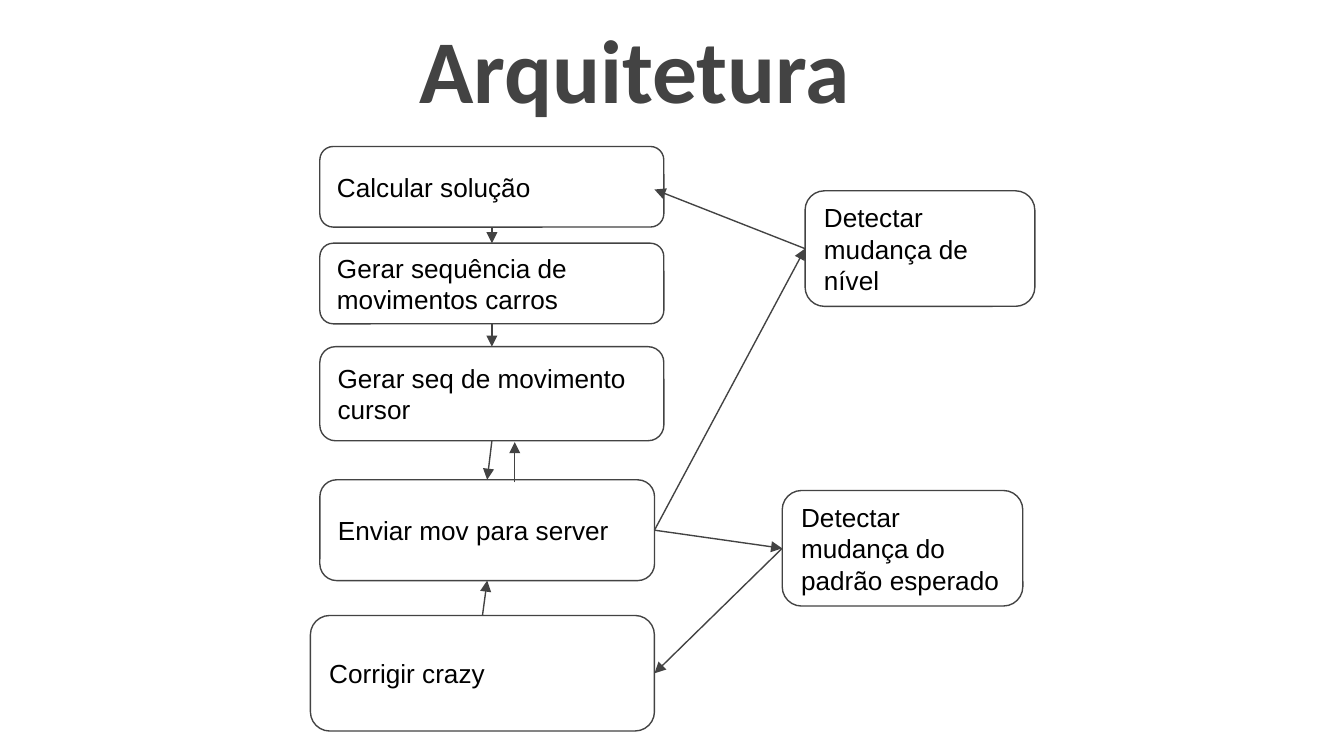
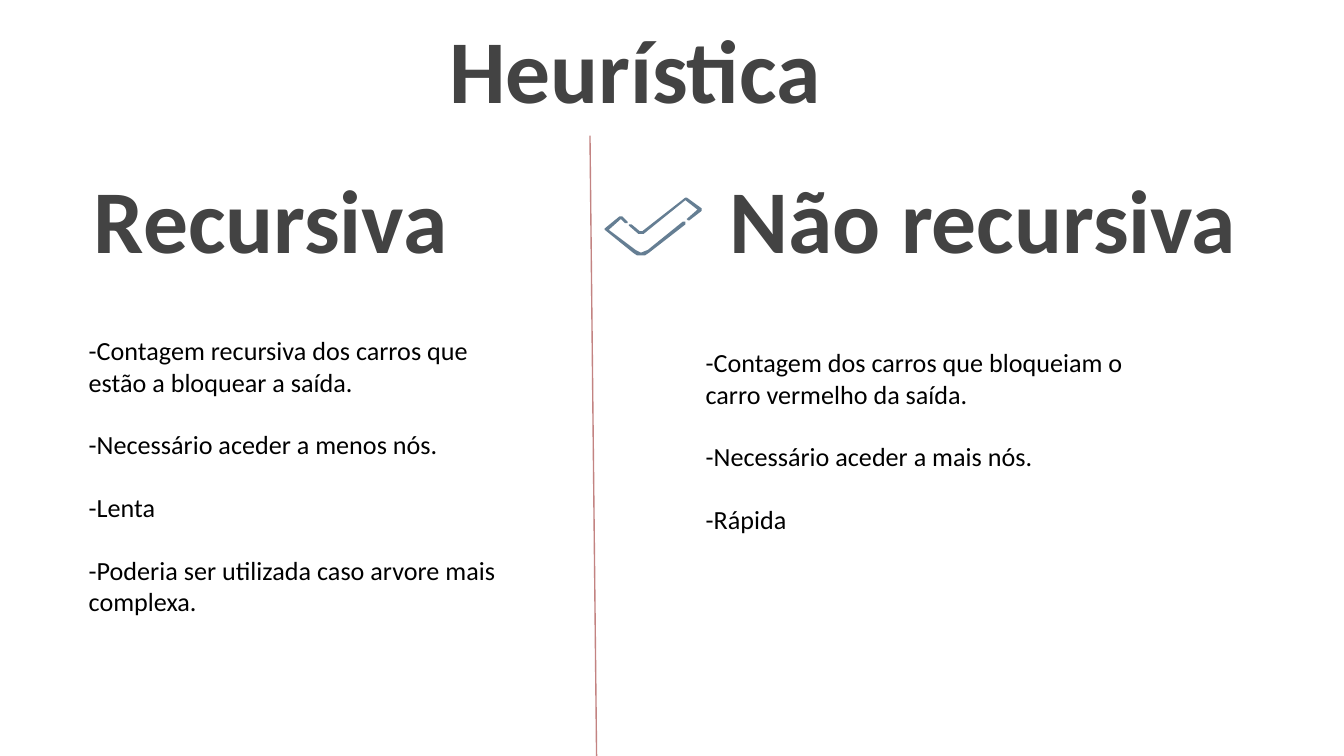
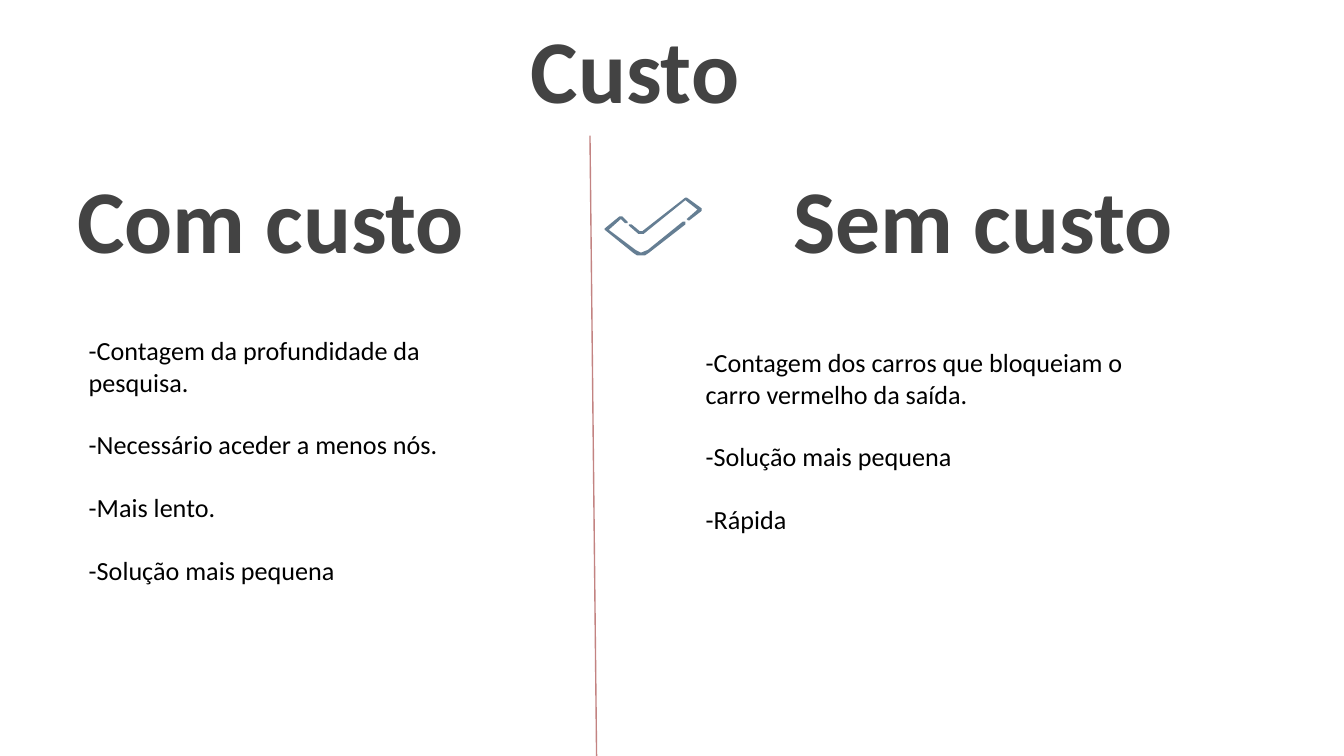
from lxml import etree
from pptx import Presentation
from pptx import util as u
from pptx.dml import color
from pptx.enum import shapes, text
from pptx.oxml import ns

COLORS = {"ink": "434343", "text": "000000", "paper": "FFFFFF",
          "divider": "C38382", "check": "657E93"}
HEADING = {"name": "Calibri", "size": u.Pt(48), "bold": True}
LIST = {"name": "Calibri", "size": u.Pt(14), "bold": False}
STEP = {"name": "Arial", "size": u.Pt(14), "bold": False}
MARGIN = u.Inches(0.1)
FRAME = {"word_wrap": True, "margin_left": MARGIN, "margin_right": MARGIN,
         "margin_top": MARGIN, "margin_bottom": MARGIN}
WIDTH = u.Inches(10)
SLIDE_SIZE = {"slide_width": WIDTH, "slide_height": WIDTH * 9 // 16}
TOP, LEFT, BOTTOM, RIGHT = range(4)

TITLE_BOX = (2.41, 0, 4.63, 1.01)
DIAGRAM_BOX = (2.31, 1.09, 5.39, 4.35)
CHECK_BOX = (4.5, 1.47, 0.72, 0.43)
DIVIDER = (4.39, 1.01, 4.44, 5.71)
HEADING_BOXES = ((-0.3, 1.12, 4.63, 1.01), (5, 1.12, 4.63, 1.01))
LIST_BOXES = ((0.56, 2.39, 3.27, 2.32), (5.15, 2.48, 3.64, 1.85))

STEPS = {
    "solve": ("Calcular solução", (0.07, 0, 2.56, 0.6)),
    "cars": ("Gerar sequência de movimentos carros", (0.07, 0.72, 2.56, 0.6)),
    "cursor": ("Gerar seq de movimento cursor", (0.07, 1.49, 2.56, 0.7)),
    "send": ("Enviar mov para server", (0.07, 2.48, 2.49, 0.75)),
    "fix": ("Corrigir crazy", (0, 3.49, 2.56, 0.86)),
    "pattern": ("Detectar mudança do padrão esperado", (3.51, 2.56, 1.79, 0.86)),
    "level": ("Detectar mudança de nível", (3.68, 0.33, 1.71, 0.86)),
}
FLOWS = (
    (("solve", BOTTOM), ("cars", TOP)),
    (("cars", BOTTOM), ("cursor", TOP)),
    (("cursor", BOTTOM), ("send", TOP)),
    ((1.52, 2.5), (1.52, 2.2)),
    (("fix", TOP), ("send", BOTTOM)),
    (("send", RIGHT), ("pattern", LEFT)),
    (("pattern", LEFT), ("fix", RIGHT)),
    (("send", RIGHT), ("level", LEFT)),
    (("level", LEFT), (2.56, 0.32)),
)
CHECK_STROKES = (
    ((0.12, 0.14), (0.11, 0.14), (0, 0.23), (0, 0.24), (0.21, 0.41), (0.24, 0.43),
     (0.3, 0.43), (0.33, 0.41), (0.6, 0.2), (0.6, 0.18), (0.58, 0.18), (0.32, 0.39),
     (0.27, 0.41), (0.23, 0.39), (0.03, 0.24), (0.12, 0.16), (0.15, 0.19),
     (0.17, 0.19), (0.17, 0.18), (0.13, 0.14)),
    ((0.6, 0), (0.28, 0.25), (0.26, 0.25), (0.2, 0.2), (0.18, 0.2), (0.18, 0.21),
     (0.25, 0.27), (0.29, 0.27), (0.6, 0.02), (0.69, 0.09), (0.61, 0.16),
     (0.62, 0.17), (0.63, 0.17), (0.72, 0.1), (0.72, 0.08), (0.61, 0)),
)
COMPARISONS = (
    ("Heurística", (
        ("Recursiva", (
            "-Contagem recursiva dos carros que estão a bloquear a saída.",
            "-Necessário aceder a menos nós.",
            "-Lenta",
            "-Poderia ser utilizada caso arvore mais complexa.")),
        ("Não recursiva", (
            "-Contagem dos carros que bloqueiam o carro vermelho da saída.",
            "-Necessário aceder a mais nós.",
            "-Rápida")))),
    ("Custo", (
        ("Com custo", (
            "-Contagem da profundidade da pesquisa.",
            "-Necessário aceder a menos nós.",
            "-Mais lento.",
            "-Solução mais pequena")),
        ("Sem custo", (
            "-Contagem dos carros que bloqueiam o carro vermelho da saída.",
            "-Solução mais pequena",
            "-Rápida")))),
)


def rgb(name):
    """Return the named palette colour."""
    return color.RGBColor.from_string(COLORS[name])


def apply(target, values):
    """Set each attribute of the target from a dict."""
    for key, value in values.items():
        setattr(target, key, value)


def place(shape, box):
    """Move and size a shape to a box in inches."""
    apply(shape, dict(zip(("left", "top", "width", "height"), map(u.Inches, box))))


def write(shape, lines, font, ink, align=text.PP_ALIGN.LEFT,
          anchor=text.MSO_ANCHOR.TOP, fit=text.MSO_AUTO_SIZE.SHAPE_TO_FIT_TEXT):
    """Fill a shape with unbulleted paragraphs, spaced by one line."""
    frame = shape.text_frame
    apply(frame, {**FRAME, "vertical_anchor": anchor, "auto_size": fit})
    for index, line in enumerate(lines):
        paragraph = frame.add_paragraph() if index else frame.paragraphs[0]
        apply(paragraph, {"alignment": align, "space_after": u.Pt(0),
                          "space_before": u.Pt(16.8 if index else 0)})
        properties = paragraph._p.get_or_add_pPr()
        properties.set("marL", "0")
        properties.set("indent", "0")
        etree.SubElement(properties, ns.qn("a:buNone"))
        run = paragraph.add_run()
        run.text = line
        apply(run.font, font)
        run.font.color.rgb = rgb(ink)


def add_heading(placeholder, box, wording):
    """Place a large centred heading."""
    place(placeholder, box)
    write(placeholder, [wording], HEADING, "ink", text.PP_ALIGN.CENTER)


def add_line(slide, ends, ink, arrow=False):
    """Draw a thin line, with an arrowhead at its end if asked."""
    line = slide.shapes.add_connector(
        shapes.MSO_CONNECTOR.STRAIGHT, *map(u.Inches, ends))
    line.line.width = u.Pt(0.75)
    line.line.color.rgb = rgb(ink)
    if arrow:
        etree.SubElement(line.line._get_or_add_ln(), ns.qn("a:tailEnd"), type="triangle")
    etree.SubElement(line._element.spPr, ns.qn("a:effectLst"))
    return line


def add_step(slide, wording, box):
    """Draw one rounded step of the flow."""
    step = slide.shapes.add_shape(
        shapes.MSO_SHAPE.ROUNDED_RECTANGLE, *map(u.Inches, box))
    step.shadow.inherit = False
    step.fill.solid()
    step.fill.fore_color.rgb = rgb("paper")
    step.line.color.rgb = rgb("ink")
    step.line.width = u.Pt(0.75)
    write(step, [wording], STEP, "text", anchor=text.MSO_ANCHOR.MIDDLE,
          fit=text.MSO_AUTO_SIZE.NONE)
    return step


def add_diagram(slide, box):
    """Draw the steps and the arrows that join them."""
    left, top = box[:2]
    steps = {key: add_step(slide, wording, (left + x, top + y, width, height))
             for key, (wording, (x, y, width, height)) in STEPS.items()}
    for flow in FLOWS:
        ends = []
        for x, y in flow:
            ends += (left, top) if x in steps else (left + x, top + y)
        arrow = add_line(slide, ends, "ink", arrow=True)
        for connect, (key, side) in zip((arrow.begin_connect, arrow.end_connect), flow):
            if key in steps:
                connect(steps[key], side)


def add_check(slide, box):
    """Draw the outlined check mark as a group of two strokes."""
    group = slide.shapes.add_group_shape()
    for stroke in CHECK_STROKES:
        points = [(u.Inches(box[0] + x), u.Inches(box[1] + y)) for x, y in stroke]
        builder = group.shapes.build_freeform(*points[0])
        builder.add_line_segments(points[1:])
        outline = builder.convert_to_shape()
        outline.shadow.inherit = False
        outline.fill.solid()
        outline.fill.fore_color.rgb = rgb("check")
        outline.line.fill.background()


def add_architecture_slide(deck):
    """Build the slide with the flow diagram."""
    slide = deck.slides.add_slide(deck.slide_layouts.get_by_name("Title Only"))
    add_heading(slide.shapes.title, TITLE_BOX, "Arquitetura")
    add_diagram(slide, DIAGRAM_BOX)


def add_comparison_slide(deck, title, options):
    """Build a slide that compares two options side by side."""
    slide = deck.slides.add_slide(deck.slide_layouts.get_by_name("Comparison"))
    add_heading(slide.shapes.title, TITLE_BOX, title)
    add_line(slide, DIVIDER, "divider")
    for index, (heading, points) in enumerate(options):
        add_heading(slide.placeholders[2 * index + 1], HEADING_BOXES[index], heading)
        body = slide.placeholders[2 * index + 2]
        place(body, LIST_BOXES[index])
        write(body, points, LIST, "text")
    add_check(slide, CHECK_BOX)


def main():
    """Build and save the deck."""
    deck = Presentation()
    apply(deck, SLIDE_SIZE)
    add_architecture_slide(deck)
    for title, options in COMPARISONS:
        add_comparison_slide(deck, title, options)
    deck.save("out.pptx")


if __name__ == "__main__":
    main()
